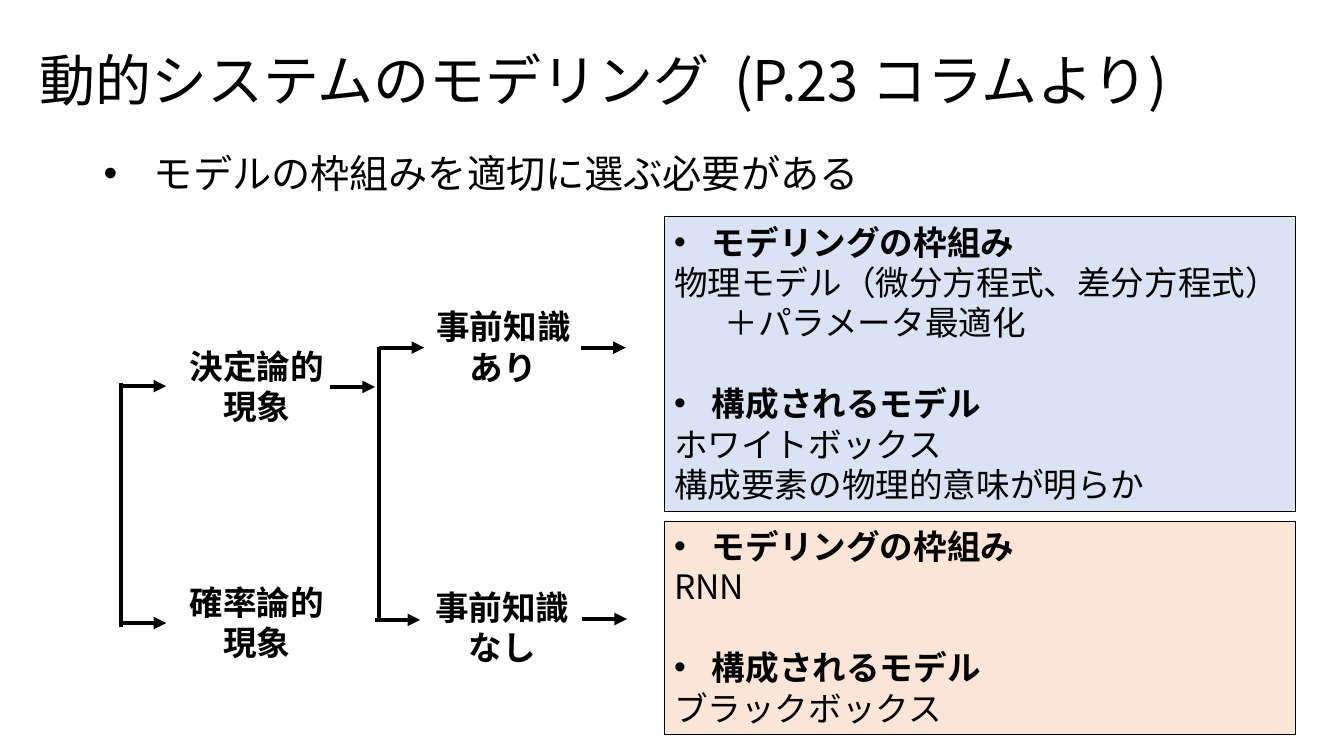
from pptx import Presentation
from pptx.dml.color import RGBColor
from pptx.enum.shapes import MSO_CONNECTOR as CONN, MSO_SHAPE as SHAPE
from pptx.enum.text import MSO_ANCHOR as ANCHOR, MSO_AUTO_SIZE as AUTO, PP_ALIGN as ALIGN
from pptx.oxml.ns import qn
from pptx.util import Cm, Pt
from lxml import etree

FONT = "Noto Sans CJK JP"
BLACK = RGBColor(0x00, 0x00, 0x00)
BLUE = RGBColor(0xDA, 0xE3, 0xF3)
ORANGE = RGBColor(0xFB, 0xE5, 0xD6)
ARROW_LENGTH = 1.14


def add_text(tf, text, size=24, bold=False, align=ALIGN.LEFT, bullet=False,
             indent=0, level=0, before=0):
    """Fill the empty first paragraph, or append one; indent is in cm."""
    p = tf.paragraphs[0]
    if p.runs:
        p = tf.add_paragraph()
    p.alignment = align
    p.level = level
    p.space_before = Pt(before)
    pPr = p._p.get_or_add_pPr()
    pPr.set("marL", str(Cm(indent)))
    pPr.set("indent", str(-Cm(indent) if bullet else 0))
    if bullet:
        etree.SubElement(pPr, qn("a:buFont"), typeface="Arial")
        etree.SubElement(pPr, qn("a:buChar"), char="•")
    else:
        etree.SubElement(pPr, qn("a:buNone"))
    r = p.add_run()
    r.text = text
    r.font.name = FONT
    r.font.size = Pt(size)
    r.font.bold = bold
    r.font.color.rgb = BLACK
    etree.SubElement(r._r.get_or_add_rPr(), qn("a:ea"), typeface=FONT)


def set_frame(sp, wrap=False):
    tf = sp.text_frame
    tf.word_wrap = wrap
    tf.auto_size = AUTO.SHAPE_TO_FIT_TEXT
    tf.vertical_anchor = ANCHOR.TOP
    return tf


def add_title(s, text):
    sp = s.shapes.title
    sp.left, sp.top, sp.width, sp.height = Cm(0.74), Cm(1.02), Cm(29.95), Cm(1.96)
    add_text(set_frame(sp), text, size=40)


def add_box(s, x, y, w, h):
    return set_frame(s.shapes.add_textbox(Cm(x), Cm(y), Cm(w), Cm(h)))


def add_label(s, x, y, lines):
    tf = add_box(s, x, y, 3.94, 2.31)
    for line in lines:
        add_text(tf, line, bold=True, align=ALIGN.CENTER)


def add_line(s, x1, y1, x2, y2, arrow=False):
    c = s.shapes.add_connector(CONN.STRAIGHT, Cm(x1), Cm(y1), Cm(x2), Cm(y2))
    c.line.color.rgb = BLACK
    c.line.width = Pt(3)
    if arrow:
        etree.SubElement(c.line._get_or_add_ln(), qn("a:tailEnd"), type="triangle")
    etree.SubElement(c._element.spPr, qn("a:effectLst"))


def add_panel(s, y, h, fill, framework, model):
    """Draw a filled box with a modelling framework and its resulting model."""
    sp = s.shapes.add_shape(SHAPE.RECTANGLE, Cm(16.74), Cm(y), Cm(15.9), Cm(h))
    sp.shadow.inherit = False
    sp.fill.solid()
    sp.fill.fore_color.rgb = fill
    sp.line.color.rgb = BLACK
    sp.line.width = Pt(0.75)
    tf = set_frame(sp, wrap=True)
    sections = (("モデリングの枠組み", framework, 0), ("構成されるモデル", model, 29))
    for heading, lines, before in sections:
        add_text(tf, heading, bold=True, bullet=True, indent=0.95, before=before)
        for line in lines:
            continued = line.startswith("＋")
            add_text(tf, line, level=int(continued), indent=1.27 if continued else 0)


def main():
    prs = Presentation()
    prs.slide_width, prs.slide_height = Cm(33.87), Cm(19.05)
    s = prs.slides.add_slide(prs.slide_layouts[5])

    add_title(s, "動的システムのモデリング  (P.23 コラムより)")
    add_text(add_box(s, 2.36, 3.63, 19.76, 1.45), "モデルの枠組みを適切に選ぶ必要がある",
             size=28, bullet=True, indent=1.27)

    add_label(s, 4.5, 8.59, ("決定論的", "現象"))
    add_label(s, 4.5, 14.53, ("確率論的", "現象"))
    add_label(s, 10.72, 7.59, ("事前知識", "あり"))
    add_label(s, 10.69, 14.66, ("事前知識", "なし"))

    add_line(s, 3.05, 9.65, 3.05, 15.8)
    add_line(s, 9.55, 8.74, 9.55, 15.62)
    for x, y in ((3.05, 9.73), (3.05, 15.7), (8.31, 9.75), (9.55, 8.76),
                 (9.45, 15.62), (14.63, 8.76), (14.66, 15.6)):
        add_line(s, x, y, x + ARROW_LENGTH, y, arrow=True)

    add_panel(s, 5.46, 7.44, BLUE,
              ("物理モデル（微分方程式、差分方程式）", "＋パラメータ最適化"),
              ("ホワイトボックス", "構成要素の物理的意味が明らか"))
    add_panel(s, 13.13, 5.38, ORANGE, ("RNN",), ("ブラックボックス",))
    prs.save("out.pptx")


if __name__ == "__main__":
    main()
